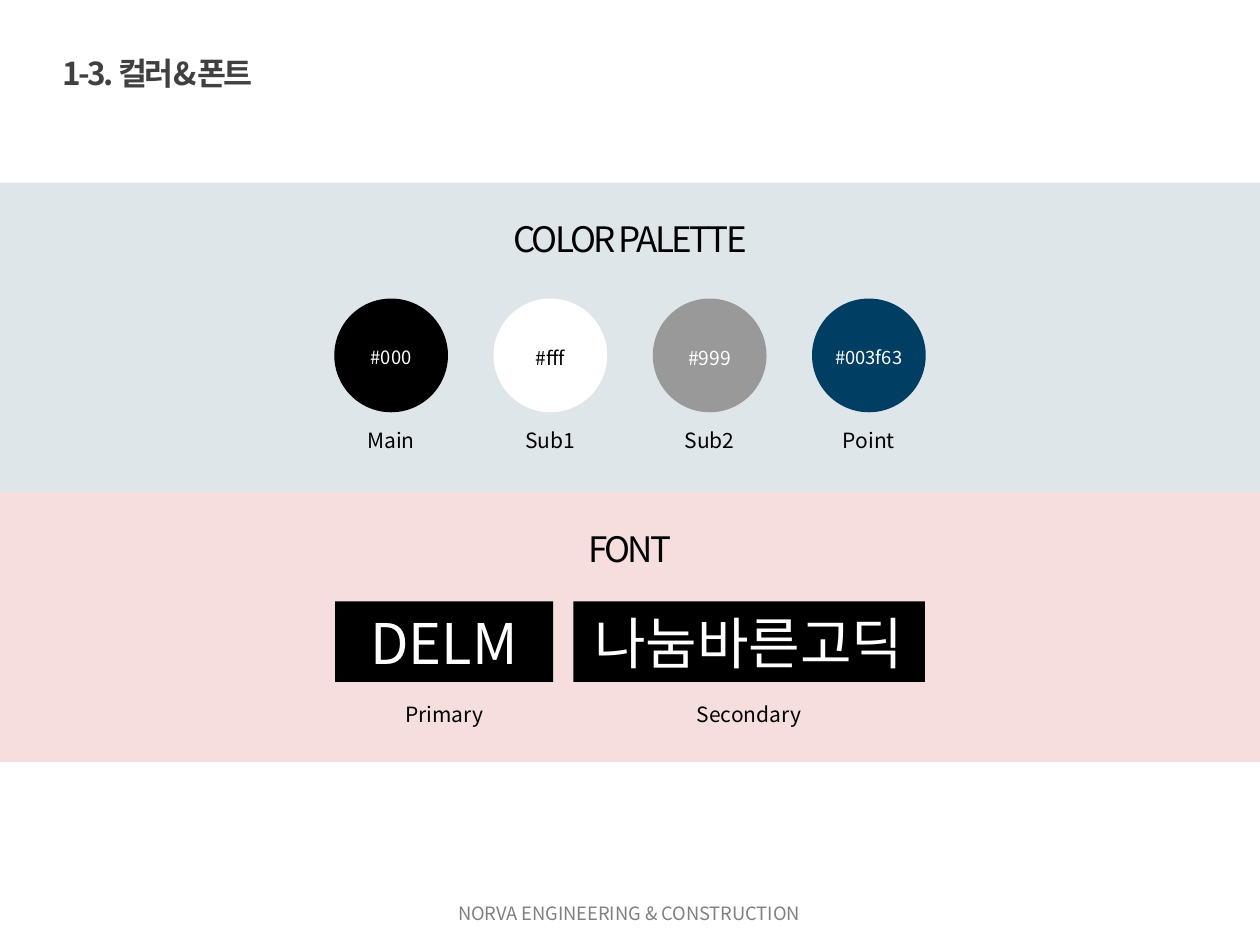
from lxml.etree import SubElement as Sub
from pptx import Presentation
from pptx.dml.color import RGBColor as RGB
from pptx.enum.shapes import MSO_SHAPE as SHAPE
from pptx.enum.text import MSO_ANCHOR as ANCHOR, PP_ALIGN as ALIGN
from pptx.oxml.ns import qn
from pptx.util import Pt

# Content
TITLE = "1-3. 컬러&폰트"
FOOTER = "NORVA ENGINEERING & CONSTRUCTION"
BANDS = [  # heading, colour, top, height
    ("COLOR PALETTE", "navy", 104.4, 177.1),
    ("FONT", "red", 281.5, 154),
]
SWATCHES = [  # name, code, fill, text colour, text size
    ("Main", "#000", "black", "white", 10.5),
    ("Sub1", "#fff", "white", "black", 11),
    ("Sub2", "#999", "gray", "white", 11),
    ("Point", "#003f63", "navy", "white", 10.5),
]
FONTS = [("Primary", "DELM", 124.6), ("Secondary", "나눔바른고딕", 200.9)]

FACE = "Noto Sans CJK KR"
HEX = {"black": "000000", "white": "FFFFFF", "gray": "999999",
       "navy": "003F63", "red": "C00000", "title": "404040", "foot": "808080"}
WIDE, HIGH, MID = 720, 540, 360
DOT, STEP = 65, 91
GAP = 11.5

deck = Presentation()
deck.slide_width, deck.slide_height = Pt(WIDE), Pt(HIGH)
slide = deck.slides.add_slide(deck.slide_layouts[6])


def style(shape, text, size, color, align=ALIGN.CENTER, bold=False, track=None):
    frame = shape.text_frame
    frame.text = text
    para = frame.paragraphs[0]
    para.alignment = align
    run = para.runs[0]
    font = run.font
    font.name, font.size, font.bold = FACE, Pt(size), bold
    font.color.rgb = RGB.from_string(HEX[color])
    props = run._r.get_or_add_rPr()
    Sub(props, qn("a:ea")).set("typeface", FACE)
    if track:
        props.set("spc", str(int(track * 100)))


def label(text, x, y, w, h, size, color="black", **more):
    box = slide.shapes.add_textbox(Pt(x), Pt(y), Pt(w), Pt(h))
    box.text_frame.word_wrap = True
    style(box, text, size, color, **more)


def block(kind, x, y, w, h, color, alpha=None):
    shape = slide.shapes.add_shape(kind, Pt(x), Pt(y), Pt(w), Pt(h))
    shape.shadow.inherit = False
    shape.fill.solid()
    shape.fill.fore_color.rgb = RGB.from_string(HEX[color])
    shape.line.fill.background()
    if alpha:
        tone = shape._element.spPr.find(qn("a:solidFill"))[0]
        Sub(tone, qn("a:alpha")).set("val", str(alpha * 1000))
    return shape


# Title and footer
label(TITLE, 28.8, 27.4, 428, 29, 18, "title",
      align=ALIGN.LEFT, bold=True, track=-1.5)
label(FOOTER, MID - 214.5, 512, 428, 21, 10.5, "foot")

# Tinted bands with headings
for head, color, top, high in BANDS:
    block(SHAPE.RECTANGLE, 0, top, WIDE, high, color, alpha=13)
    label(head, MID - 135.5, top + 16.3, 271, 31.5, 20, track=-1.5)

# Colour swatches, centred on the slide
for i, (name, code, fill, ink, size) in enumerate(SWATCHES):
    mid = MID + (i - (len(SWATCHES) - 1) / 2) * STEP
    block(SHAPE.OVAL, mid - DOT / 2, 170.6, DOT, DOT, fill)
    label(code, mid - 32, 194.4, 64, 21, size, ink)
    label(name, mid - 32, 240.5, 64, 21.8, 12)

# Font samples, side by side
left = MID - (sum(w for *_, w in FONTS) + GAP) / 2
for name, text, wide in FONTS:
    box = block(SHAPE.RECTANGLE, left, 343.7, wide, 46, "black")
    box.text_frame.word_wrap = False
    box.text_frame.vertical_anchor = ANCHOR.MIDDLE
    style(box, text, 32, "white")
    label(name, left + wide / 2 - 42, 397.4, 84, 21.8, 12)
    left += wide + GAP

deck.save("out.pptx")
